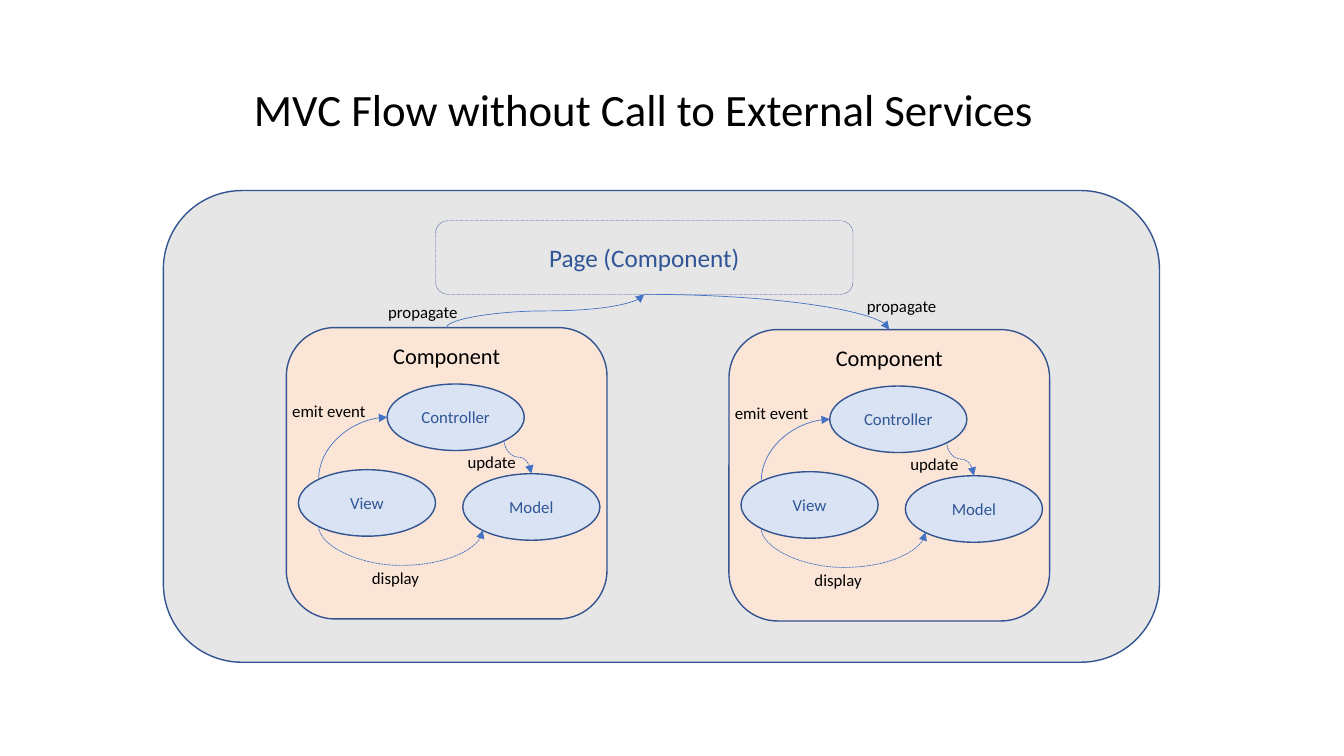
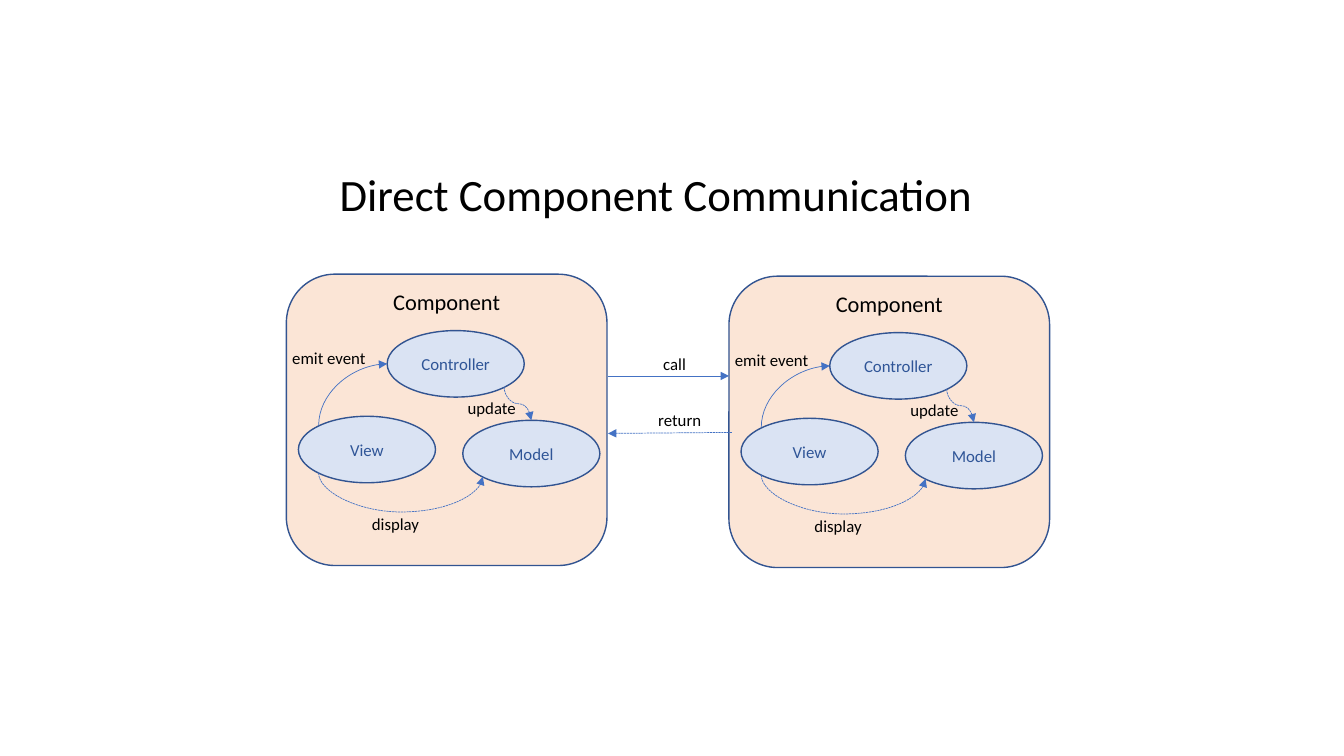
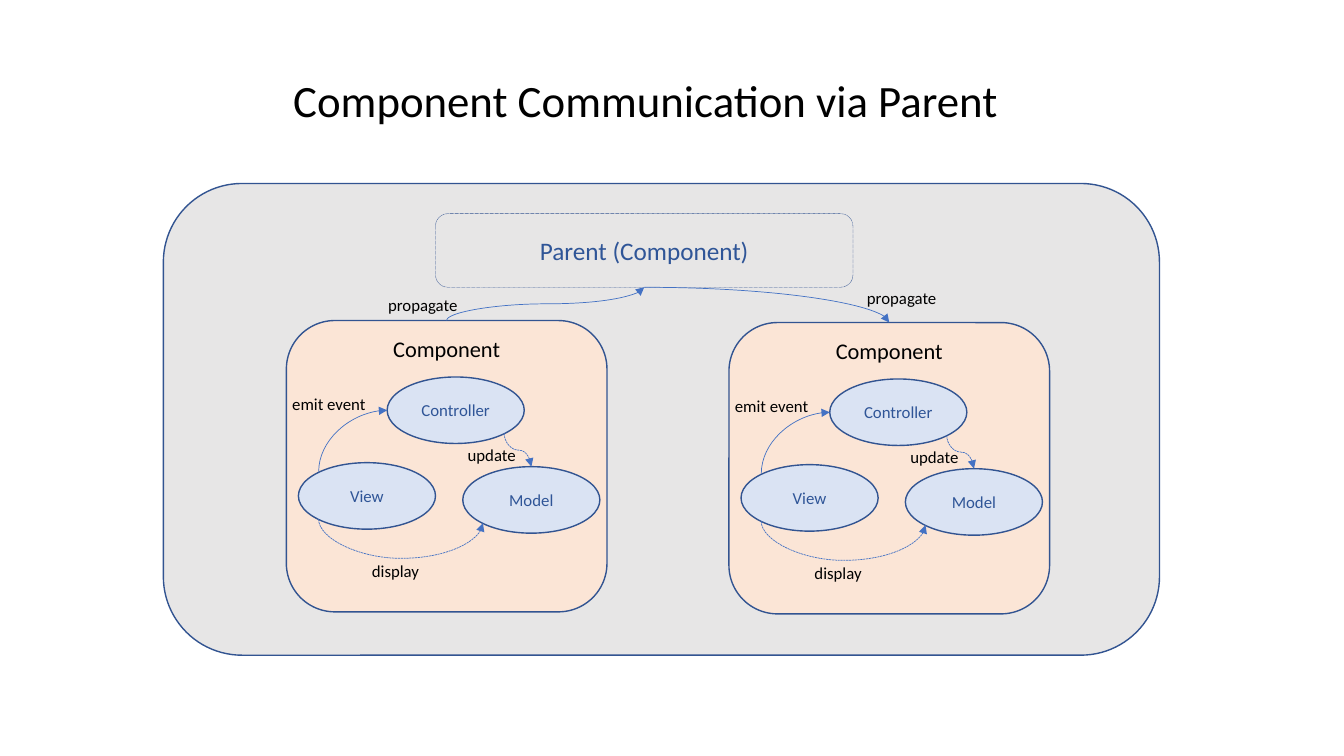
from lxml import etree
from pptx import Presentation
from pptx.dml.color import RGBColor
from pptx.enum import dml, shapes, text
from pptx.oxml.ns import qn
from pptx.util import Inches, Pt

FONT = "Calibri"
COLORS = {
    "page": "E7E6E6",
    "component": "FBE5D6",
    "role": "DAE3F3",
    "outline": "325491",
    "arrow": "4472C4",
    "role_text": "2F5597",
    "text": "000000",
}
COLORS = {part: RGBColor.from_string(value) for part, value in COLORS.items()}
ROUNDED = shapes.MSO_SHAPE.ROUNDED_RECTANGLE
OVAL = shapes.MSO_SHAPE.OVAL


def add_block(slide, box, words="", size=12, color="text", preset=None, fill=None, line_width=1):
    """Add a filled shape with centred text, or a plain label when no preset is given."""
    left, top, width, height = map(Inches, box)
    if preset is None:
        block = slide.shapes.add_textbox(left, top, width, height)
        block.text_frame.auto_size = text.MSO_AUTO_SIZE.SHAPE_TO_FIT_TEXT
    else:
        block = slide.shapes.add_shape(preset, left, top, width, height)
        block.shadow.inherit = False
        block.fill.solid()
        block.fill.fore_color.rgb = COLORS[fill]
        block.line.color.rgb = COLORS["outline"]
        block.line.width = Pt(line_width)
    block.text_frame.word_wrap = True
    if words:
        paragraph = block.text_frame.paragraphs[0]
        paragraph.text = words
        paragraph.alignment = text.PP_ALIGN.CENTER if preset else text.PP_ALIGN.LEFT
        paragraph.font.name = FONT
        paragraph.font.size = Pt(size)
        paragraph.font.color.rgb = COLORS[color]
    return block


def add_arrow(slide, start, end, curve=None, turn=0, flips="", bend=None, dashed=False, head="a:tailEnd"):
    """Add an arrow; a turned curve is laid out around the midpoint of its ends."""
    (x1, y1), (x2, y2) = start, end
    if turn:
        mid_x, mid_y = (x1 + x2) / 2, (y1 + y2) / 2
        half_width, half_height = abs(y2 - y1) / 2, abs(x2 - x1) / 2
        x1, x2 = mid_x - half_width, mid_x + half_width
        y1, y2 = mid_y - half_height, mid_y + half_height
    kind = shapes.MSO_CONNECTOR.CURVE if curve else shapes.MSO_CONNECTOR.STRAIGHT
    arrow = slide.shapes.add_connector(kind, Inches(x1), Inches(y1), Inches(x2), Inches(y2))
    arrow.line.color.rgb = COLORS["arrow"]
    arrow.line.width = Pt(0.5)
    if dashed:
        arrow.line.dash_style = dml.MSO_LINE.SQUARE_DOT
    properties = arrow.element.spPr
    etree.SubElement(properties.find(qn("a:ln")), qn(head), type="triangle")
    etree.SubElement(properties, qn("a:effectLst"))
    if curve:
        frame = properties.find(qn("a:xfrm"))
        frame.set("rot", str(turn * 60000))
        for axis in flips:
            frame.set("flip" + axis, "1")
        geometry = properties.find(qn("a:prstGeom"))
        geometry.set("prst", curve)
        if bend is not None:
            etree.SubElement(geometry.find(qn("a:avLst")), qn("a:gd"),
                             name="adj1", fmla=f"val {round(bend * 100000)}")


# Places inside a component, measured from its top left corner
ROLES = [("Controller", 1, 0.56), ("Model", 1.75, 1.45), ("View", 0.12, 1.41)]
ACTIONS = [("display", 0.75, 2.33, 0.73), ("emit event", -0.04, 0.68, 0.93), ("update", 1.7, 1.18, 0.73)]
FLOWS = [
    ((0.32, 1.97), (1.95, 2.01),
     dict(curve="curvedConnector3", turn=270, flips="H", bend=9.7, dashed=True)),
    ((0.32, 1.5), (1, 0.89), dict(curve="curvedConnector2", turn=90, flips="HV")),
    ((2.43, 1.45), (2.16, 1.12),
     dict(curve="curvedConnector3", turn=270, flips="V", dashed=True, head="a:headEnd")),
]
COMPONENT_LEFTS = [2.84, 7.23]
SECOND_DROP = 0.02

# Title, its left, top and width, top of the first component, enclosing component
SLIDES = [
    ("MVC Flow without Call to External Services", 2.42, 0.76, 8.24, 3.25, "Page (Component)"),
    ("Direct Component Communication", 3.27, 1.61, 6.6, 2.72, None),
    ("Component Communication via Parent", 2.81, 0.67, 7.24, 3.18, "Parent (Component)"),
]

deck = Presentation()
deck.slide_width, deck.slide_height = Inches(13.33), Inches(7.5)

for title, title_left, title_top, title_width, component_top, parent in SLIDES:
    slide = deck.slides.add_slide(deck.slide_layouts[6])
    if parent:
        add_block(slide, (1.62, component_top - 1.36, 9.88, 4.68), preset=ROUNDED, fill="page")
    add_block(slide, (title_left, title_top, title_width, 0.64), title, size=32)

    for index, left in enumerate(COMPONENT_LEFTS):
        top = component_top + index * SECOND_DROP
        component = add_block(slide, (left, top, 3.18, 2.89), "Component", size=16,
                              preset=ROUNDED, fill="component")
        component.text_frame.vertical_anchor = text.MSO_ANCHOR.TOP
        component.text_frame.margin_top = 0
        for role, x, y in ROLES:
            add_block(slide, (left + x, top + y, 1.36, 0.66), role, color="role_text",
                      preset=OVAL, fill="role")
        for (x1, y1), (x2, y2), style in FLOWS:
            add_arrow(slide, (left + x1, top + y1), (left + x2, top + y2), **style)
        for action, x, y, width in ACTIONS:
            add_block(slide, (left + x, top + y, width, 0.3), action)

    if parent:
        parent_box = add_block(slide, (4.32, component_top - 1.06, 4.14, 0.73), parent, size=18,
                               color="role_text", preset=ROUNDED, fill="page", line_width=0.25)
        parent_box.line.dash_style = dml.MSO_LINE.ROUND_DOT
        parent_bottom = (6.39, component_top - 0.33)
        add_arrow(slide, (4.43, component_top), parent_bottom,
                  curve="curvedConnector3", turn=90, flips="HV")
        add_arrow(slide, parent_bottom, (8.82, component_top + SECOND_DROP), curve="curvedConnector2")
        for x, rise in [(3.75, 0.31), (8.5, 0.37)]:
            add_block(slide, (x, component_top - rise, 0.91, 0.3), "propagate")
    else:
        add_arrow(slide, (6.03, 3.73), (7.23, 3.73))
        add_arrow(slide, (7.26, 4.29), (6.03, 4.3), dashed=True)
        add_block(slide, (6.48, 3.46, 0.46, 0.3), "call")
        add_block(slide, (6.43, 4.02, 0.65, 0.3), "return")

deck.save("out.pptx")
